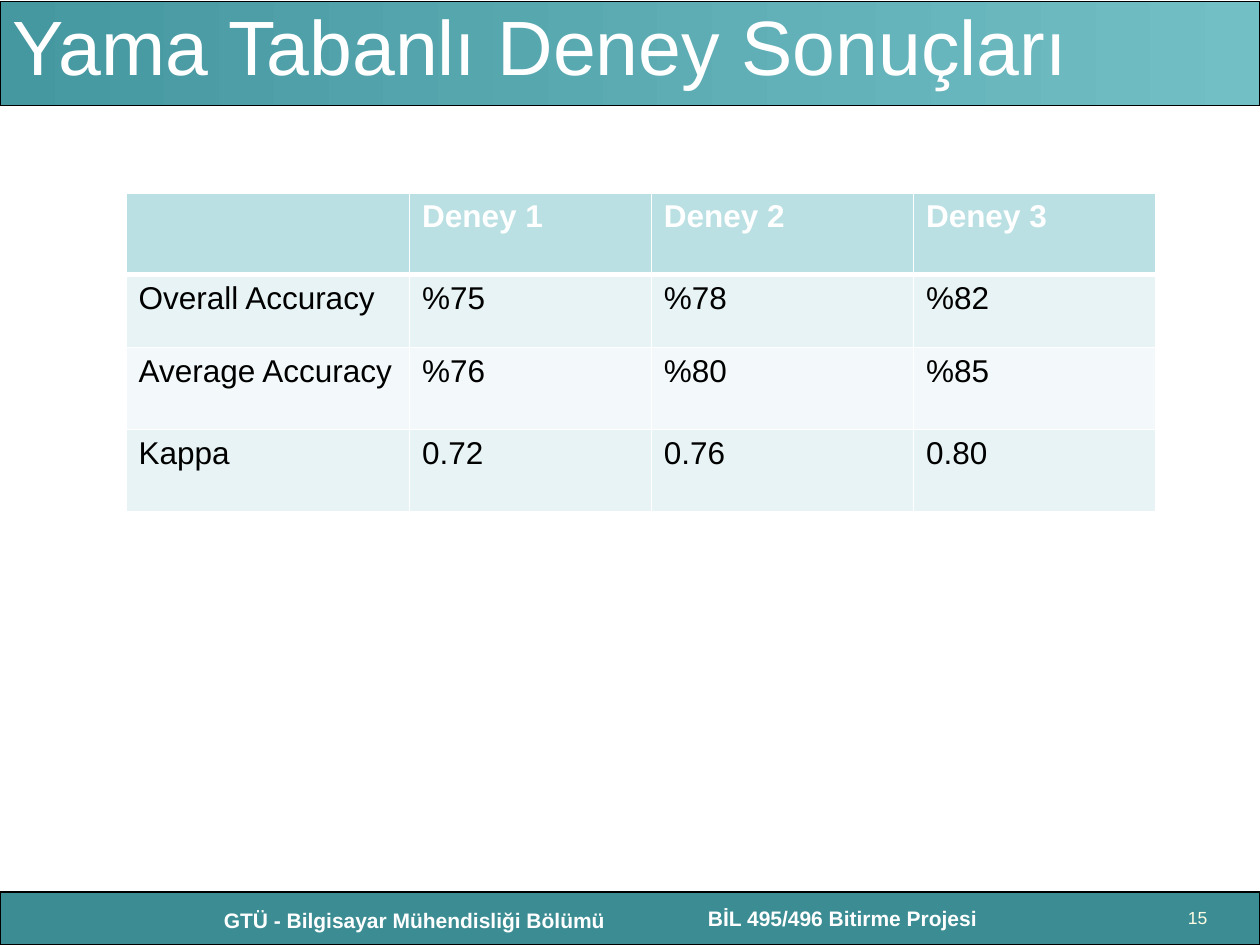
import pptx
import pptx.dml.color
import pptx.enum.shapes
import pptx.enum.text
import pptx.oxml
import pptx.oxml.ns
import pptx.util

Inches = pptx.util.Inches
Pt = pptx.util.Pt
ALIGN = pptx.enum.text.PP_ALIGN
ANCHOR = pptx.enum.text.MSO_ANCHOR

RESULTS = [
    ["", "Deney 1", "Deney 2", "Deney 3"],
    ["Overall Accuracy", "%75", "%78", "%82"],
    ["Average Accuracy", "%76", "%80", "%85"],
    ["Kappa", "0.72", "0.76", "0.80"],
]
COLUMN_WIDTHS = [2.25, 1.92, 2.08, 1.92]
ROW_HEIGHTS = [0.65, 0.58, 0.65, 0.65]
ROW_FILLS = ["BBE0E3", "E7F3F4", "F3F9FA", "E7F3F4"]


def rgb(color):
    return pptx.dml.color.RGBColor.from_string(color)


def apply(target, formats):
    for name, value in formats.items():
        setattr(target, name, value)


def write(frame, text, size, color, bold=False, align=ALIGN.LEFT, anchor=ANCHOR.TOP):
    apply(frame, {"word_wrap": True, "vertical_anchor": anchor})
    paragraph = frame.paragraphs[0]
    paragraph.alignment = align
    run = paragraph.add_run()
    run.text = text
    apply(run.font, {"name": "Arial", "size": Pt(size), "bold": bold})
    run.font.color.rgb = rgb(color)


def add_bar(slide, top, height, colors):
    bar = slide.shapes.add_shape(
        pptx.enum.shapes.MSO_SHAPE.RECTANGLE, 0, Inches(top), Inches(10), Inches(height))
    bar.shadow.inherit = False
    bar.line.color.rgb = rgb("000000")
    bar.line.width = Pt(0.75)
    if len(colors) == 1:
        bar.fill.solid()
        bar.fill.fore_color.rgb = rgb(colors[0])
        return
    bar.fill.gradient()
    bar.fill.gradient_angle = 0
    for position, (stop, color) in enumerate(zip(bar.fill.gradient_stops, colors)):
        apply(stop, {"position": position})
        stop.color.rgb = rgb(color)


def add_label(slide, box, text, **style):
    label = slide.shapes.add_textbox(*map(Inches, box))
    write(label.text_frame, text, **style)


def add_title(slide, text):
    title = slide.shapes.title
    apply(title, {"left": 0, "top": Inches(0.04),
                  "width": Inches(9), "height": Inches(0.63)})
    title.text_frame.auto_size = pptx.enum.text.MSO_AUTO_SIZE.NONE
    write(title.text_frame, text, 44, "FFFFFF", anchor=ANCHOR.MIDDLE)
    slide.shapes._spTree.append(title._element)


def set_borders(cell, widths):
    properties = cell._tc.get_or_add_tcPr()
    for side, width in widths.items():
        properties.append(pptx.oxml.parse_xml(
            f'<a:ln{side} {pptx.oxml.ns.nsdecls("a")} w="{Pt(width)}">'
            '<a:solidFill><a:srgbClr val="FFFFFF"/></a:solidFill>'
            f'</a:ln{side}>'))


def add_results(slide):
    table = slide.shapes.add_table(
        len(RESULTS), len(COLUMN_WIDTHS), Inches(1), Inches(1.53),
        Inches(sum(COLUMN_WIDTHS)), Inches(sum(ROW_HEIGHTS))).table
    for column, width in zip(table.columns, COLUMN_WIDTHS):
        column.width = Inches(width)
    for row, height in zip(table.rows, ROW_HEIGHTS):
        row.height = Inches(height)
    for r, values in enumerate(RESULTS):
        header = r == 0
        for c, value in enumerate(values):
            cell = table.cell(r, c)
            set_borders(cell, {"L": 1, "R": 1, "T": 3 if r == 1 else 1,
                               "B": 3 if header else 1})
            cell.fill.solid()
            cell.fill.fore_color.rgb = rgb(ROW_FILLS[r])
            if value:
                write(cell.text_frame, value, 18,
                      "FFFFFF" if header else "000000", bold=header)


def main():
    deck = pptx.Presentation()
    apply(deck, {"slide_width": Inches(10), "slide_height": Inches(7.5)})
    slide = deck.slides.add_slide(deck.slide_layouts[5])
    add_bar(slide, 7.08, 0.42, ["3C8C93"])
    add_bar(slide, 0.01, 0.83, ["4597A0", "72BFC5"])
    footer = {"size": 12, "color": "FFFFFF", "bold": True, "align": ALIGN.CENTER}
    add_label(slide, (1.58, 7.15, 3.42, 0.3), "GTÜ - Bilgisayar Mühendisliği Bölümü", **footer)
    add_label(slide, (5, 7.14, 3.42, 0.3), "BİL 495/496 Bitirme Projesi ", **footer)
    add_title(slide, "Yama Tabanlı Deney Sonuçları")
    add_label(slide, (9.33, 7.17, 0.5, 0.08), "15", size=10, color="FFFFE5")
    add_results(slide)
    deck.save("out.pptx")


main()
